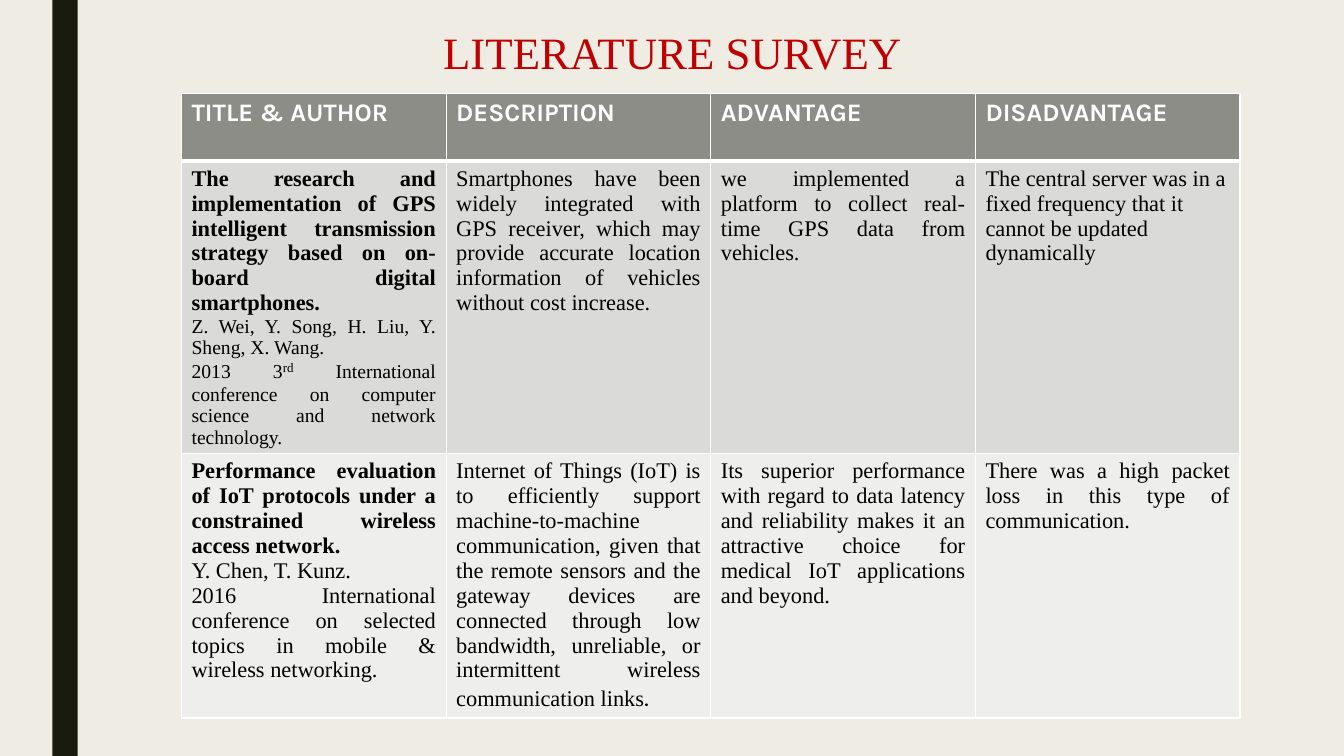
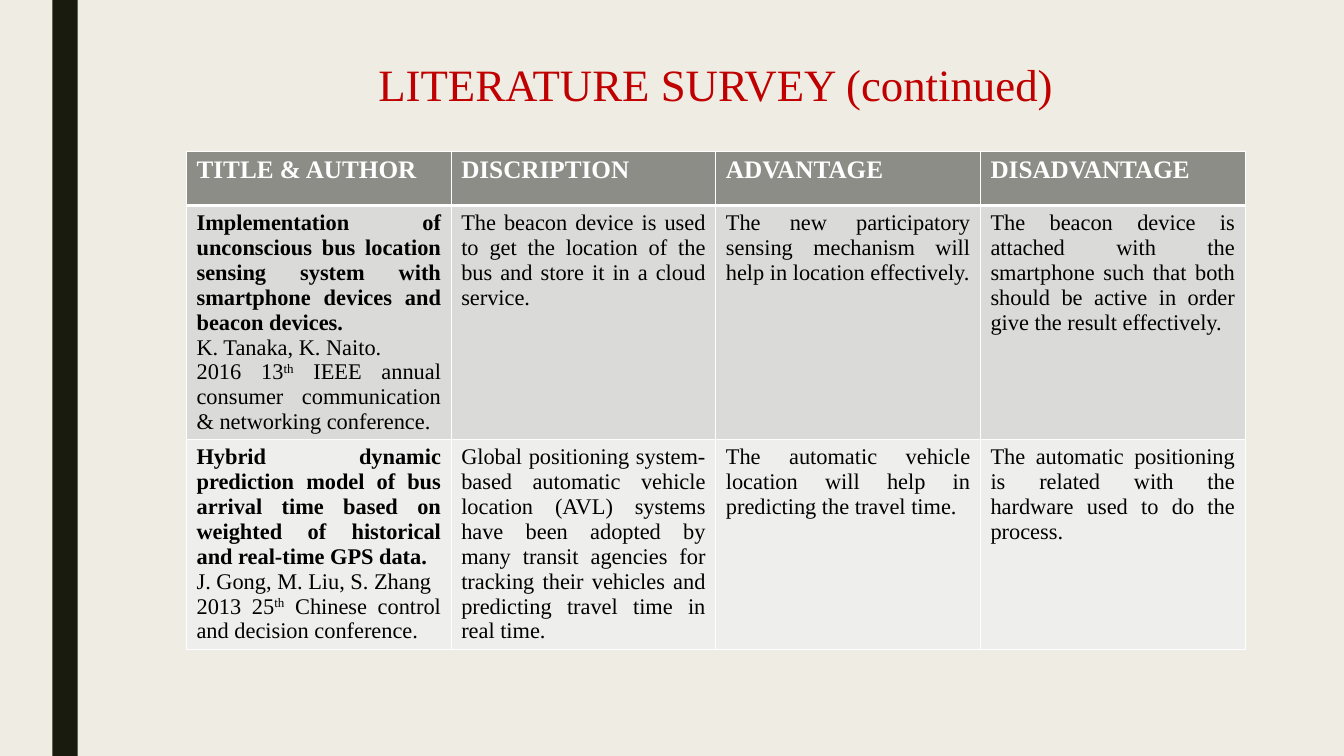
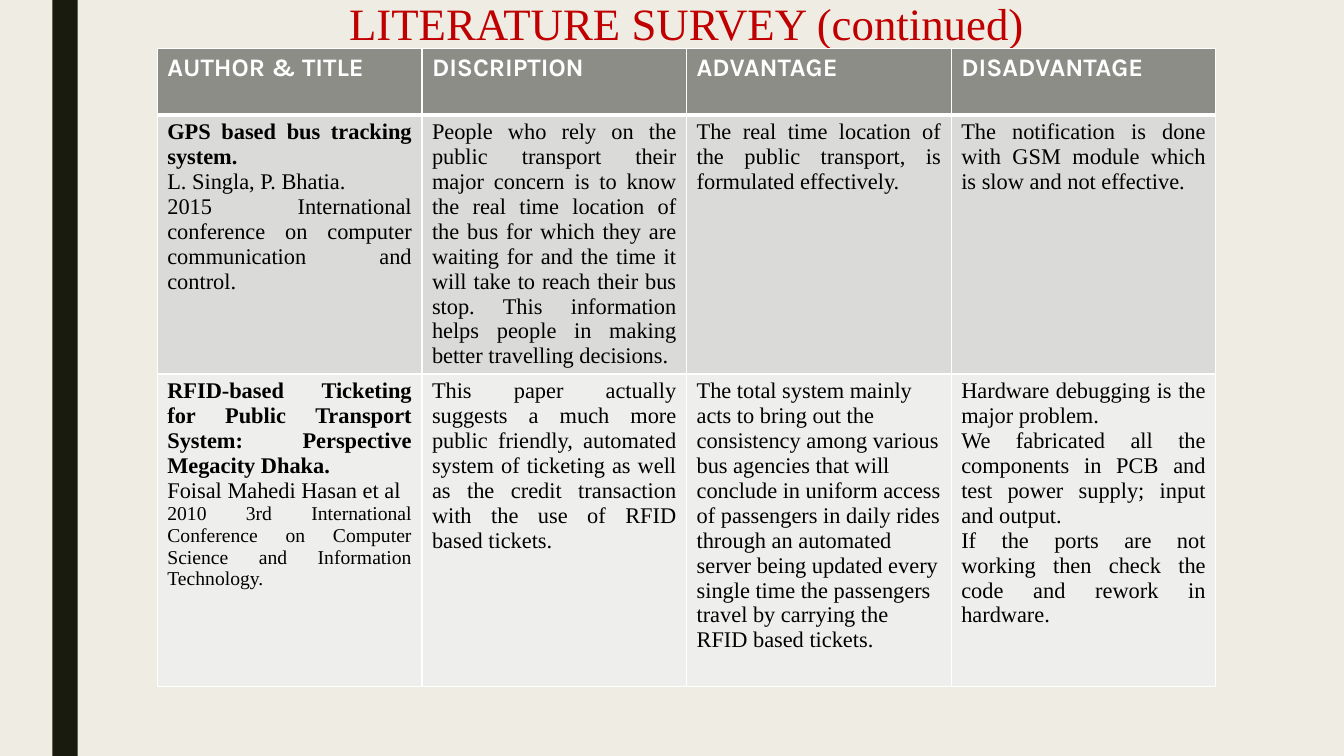
from lxml import etree
from pptx import Presentation
from pptx.dml.color import RGBColor
from pptx.enum import shapes, text
from pptx.oxml import ns
from pptx.util import Inches, Pt

HUES = {"page": "EFEDE3", "band": "191B0E", "title": "C00000", "head": "8C8D86",
        "odd": "DADBD9", "even": "EEEEED", "rule": "FFFFFF", "text": "000000"}
SERIF, SANS = "Times New Roman", "Karla"
SMALL = {"size": Pt(14)}
BASE = {"size": Pt(16), "name": SERIF, "bold": False}
SUP = "30000"


def hue(key):
    return RGBColor.from_string(HUES[key])


class Deck:
    """Holds the shared style and the current slide."""

    def __init__(self):
        self.prs = Presentation()
        self.prs.slide_width, self.prs.slide_height = Inches(13.33), Inches(7.5)
        self.paint(self.prs.slide_master.background, "page")

    def paint(self, item, key):
        item.fill.solid()
        item.fill.fore_color.rgb = hue(key)

    def style(self, font, form, key):
        for name, value in form.items():
            setattr(font, name, value)
        font.color.rgb = hue(key)

    def slide(self, title, left, mid):
        self.page = self.prs.slides.add_slide(self.prs.slide_layouts[5])
        self.band()
        self.title(title, left, mid)

    def band(self):
        bar = self.page.shapes.add_shape(
            shapes.MSO_SHAPE.RECTANGLE, Inches(0.52), 0, Inches(0.25), Inches(7.5))
        bar.shadow.inherit = False
        self.paint(bar, "band")
        bar.line.fill.background()

    def title(self, words, left, mid):
        box = self.page.shapes.title
        place = {"left": left, "top": mid - 0.3, "width": 10.5, "height": 0.6}
        for name, value in place.items():
            setattr(box, name, Inches(value))
        frame = box.text_frame
        form = {"text": words, "word_wrap": True, "auto_size": text.MSO_AUTO_SIZE.NONE,
                "vertical_anchor": text.MSO_ANCHOR.MIDDLE, "margin_top": 0, "margin_bottom": 0}
        for name, value in form.items():
            setattr(frame, name, value)
        par = frame.paragraphs[0]
        par.alignment, par.line_spacing = text.PP_ALIGN.CENTER, 0.89
        self.style(par.runs[0].font, {"name": SERIF, "size": Pt(32)}, "title")

    def edges(self, cell, low):
        props = cell._tc.get_or_add_tcPr()
        for side, width in (("L", 1), ("R", 1), ("T", 1), ("B", low)):
            line = etree.SubElement(props, ns.qn("a:ln" + side), w=str(Pt(width)))
            fill = etree.SubElement(line, ns.qn("a:solidFill"))
            etree.SubElement(fill, ns.qn("a:srgbClr"), val=HUES["rule"])

    def prose(self, par, runs, form, key, align):
        par.alignment = align
        for item in [runs] if isinstance(runs, str) else runs:
            words, extra = (item, {}) if isinstance(item, str) else item
            run = par.add_run()
            run.text = words
            if extra == SUP:
                run.font._element.set("baseline", SUP)
                extra = {}
            self.style(run.font, {**form, **extra}, key)

    def table(self, left, top, tall, head, rows, face=SANS, plain=None):
        frame = self.page.shapes.add_table(
            3, 4, Inches(left), Inches(top), Inches(10.5), Inches(sum(tall)))
        grid = frame.table
        for col in grid.columns:
            col.width = Inches(10.5 / 4)
        for row, high in zip(grid.rows, tall):
            row.height = Inches(high)
        caps = {"size": Pt(18), "name": face, "bold": True}
        for y, (key, line) in enumerate(zip(("head", "odd", "even"), [head, *rows])):
            for x, body in enumerate(line):
                cell = grid.cell(y, x)
                self.edges(cell, 3 if y == 0 else 1)
                self.paint(cell, key)
                align = text.PP_ALIGN.JUSTIFY
                if y == 0 or (y, x) == plain:
                    align = text.PP_ALIGN.LEFT
                for n, runs in enumerate([body] if isinstance(body, str) else body):
                    par = (cell.text_frame.add_paragraph() if n
                           else cell.text_frame.paragraphs[0])
                    form = caps if y == 0 else {**BASE, "bold": x == 0 and n == 0}
                    self.prose(par, runs, form, "text" if y else "rule", align)


def main():
    deck = Deck()
    last = ["ADVANTAGE", "DISADVANTAGE"]

    deck.slide("LITERATURE SURVEY", 1.42, 0.55)
    deck.table(1.8, 0.93, (0.67, 2.87, 2.62), ["TITLE & AUTHOR", "DESCRIPTION", *last], [
        [["The research and implementation of GPS intelligent transmission strategy based "
          "on on-board digital smartphones.",
          [("Z. Wei, Y. Song, H. Liu, Y. Sheng, X. Wang.", SMALL)],
          [("2013 3", SMALL), ("rd", SUP),
           (" International conference on computer science and network technology.", SMALL)]],
         "Smartphones have been widely integrated with GPS receiver, which may provide "
         "accurate location information of vehicles without cost increase.",
         "we implemented a platform to collect real-time GPS data from vehicles.",
         "The central server was in a fixed frequency that it cannot be updated dynamically"],
        [["Performance evaluation of IoT protocols under a constrained wireless access network.",
          "Y. Chen, T. Kunz.",
          "2016 International conference on selected topics in mobile & wireless networking."],
         [["Internet of Things (IoT) is to efficiently support machine-to-machine "
           "communication, given that the remote sensors and the gateway devices are "
           "connected through low bandwidth, unreliable, or intermittent wireless "
           "communication links", (".", {"size": Pt(18), "name": SANS})]],
         "Its superior performance with regard to data latency and reliability makes it an "
         "attractive choice for medical IoT applications and beyond.",
         "There was a high packet loss in this type of communication."],
    ], plain=(1, 3))

    deck.slide("LITERATURE SURVEY (continued)", 1.85, 0.86)
    deck.table(1.85, 1.5, (0.54, 2.32, 2.08), ["TITLE & AUTHOR", "DISCRIPTION", *last], [
        [["Implementation of unconscious bus location sensing system with smartphone devices "
          "and beacon devices.",
          "K. Tanaka, K. Naito.",
          ["2016 13", ("th", SUP),
           " IEEE annual consumer communication & networking conference."]],
         "The beacon device is used to get the location of the bus and store it in a cloud "
         "service.",
         "The new participatory sensing mechanism will help in location effectively.",
         "The beacon device is attached with the smartphone such that both should be active "
         "in order give the result effectively."],
        [["Hybrid dynamic prediction model of bus arrival time based on weighted of "
          "historical and real-time GPS data.",
          "J. Gong, M. Liu, S. Zhang",
          ["2013 25", ("th", SUP), " Chinese control and decision conference."]],
         "Global positioning system-based automatic vehicle location (AVL) systems have been "
         "adopted by many transit agencies for tracking their vehicles and predicting travel "
         "time in real time.",
         "The automatic vehicle location will help in predicting the travel time.",
         "The automatic positioning is related with the hardware used to do the process."],
    ], face=SERIF)

    deck.slide("LITERATURE SURVEY (continued)", 1.56, 0.26)
    deck.table(1.56, 0.48, (0.66, 2.57, 3.1), ["AUTHOR & TITLE", "DISCRIPTION", *last], [
        [["GPS based bus tracking system.",
          "L. Singla, P. Bhatia.",
          "2015 International conference on computer communication and control."],
         "People who rely on the public transport their major concern is to know the real "
         "time location of the bus for which they are waiting for and the time it will take "
         "to reach their bus stop. This information helps people in making better travelling "
         "decisions.",
         "The real time location of the public transport, is formulated effectively.",
         "The notification is done with GSM module which is slow and not effective."],
        [["RFID-based Ticketing for Public Transport System: Perspective Megacity Dhaka.",
          "Foisal Mahedi Hasan et al",
          [("2010 3rd International Conference on Computer Science and Information "
            "Technology.", SMALL)]],
         "This paper actually suggests a much more public friendly, automated system of "
         "ticketing as well as the credit transaction with the use of RFID based tickets.",
         "The total system mainly acts to bring out the consistency among various bus "
         "agencies that will conclude in uniform access of passengers in daily rides through "
         "an automated server being updated every single time the passengers travel by "
         "carrying the RFID based tickets.",
         ["Hardware debugging is the major problem.",
          "We fabricated all the components in PCB and test power supply; input and output.",
          "If the ports are not working then check the code and rework in hardware."]],
    ], plain=(2, 2))

    deck.prs.save("out.pptx")


if __name__ == "__main__":
    main()
